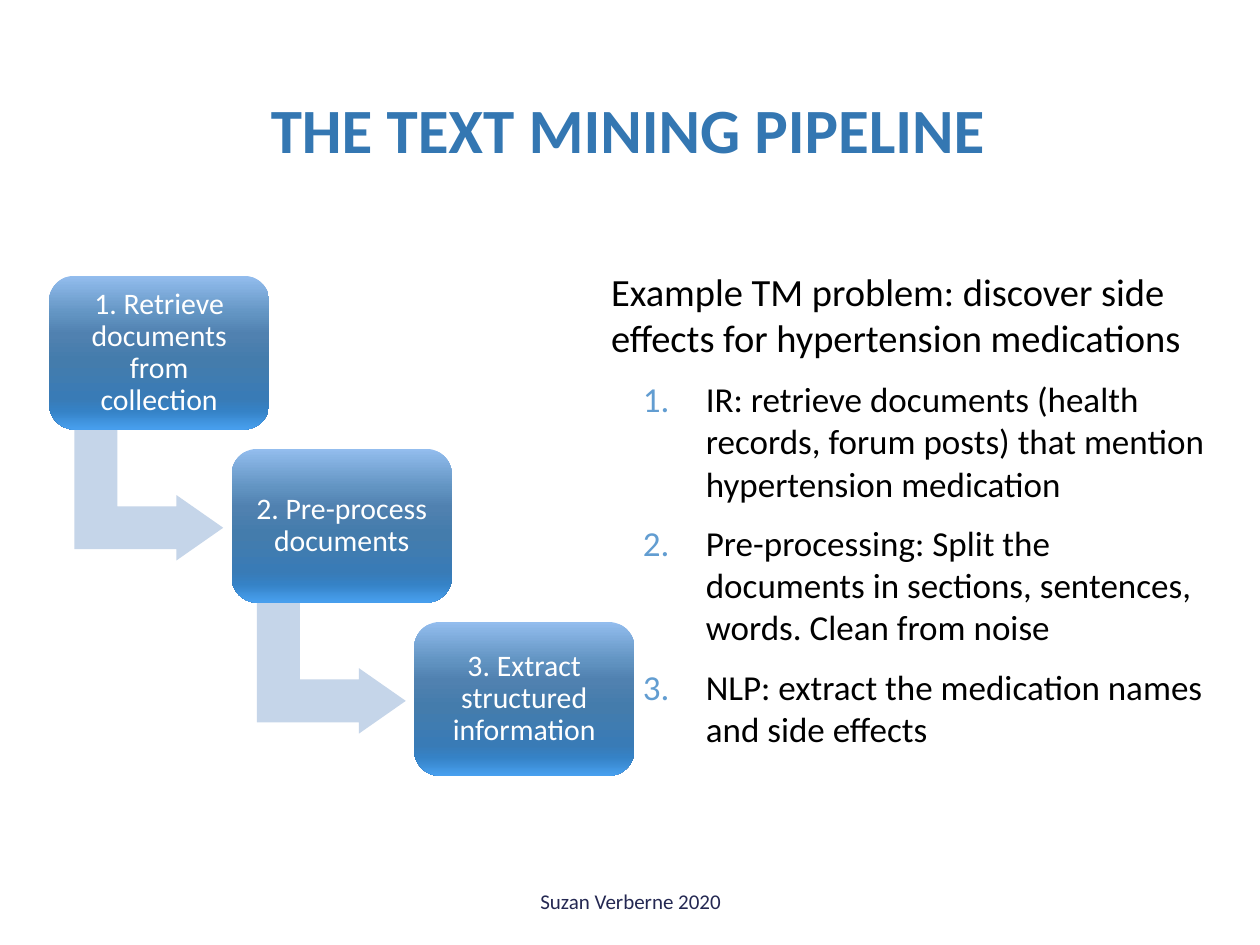
from lxml.etree import SubElement
from pptx import Presentation
from pptx.dml.color import RGBColor
from pptx.enum.shapes import MSO_SHAPE
from pptx.enum.text import MSO_ANCHOR, PP_ALIGN
from pptx.oxml.ns import qn
from pptx.util import Cm, Pt

FONT = "Calibri"
STEPS = [
    "1. Retrieve documents from collection",
    "2. Pre-process documents",
    "3. Extract structured information",
]
PROBLEM = "Example TM problem: discover side effects for hypertension medications"
EXAMPLES = [
    "IR: retrieve documents (health records, forum posts) that mention hypertension medication",
    "Pre-processing: Split the documents in sections, sentences, words. Clean from noise",
    "NLP: extract the medication names and side effects",
]
BOX_GRADIENT = [
    (0, "93BDEE"), (25, "6294C2"), (38, "5081B0"), (55, "447CAC"),
    (80, "397BB6"), (88, "3582C6"), (100, "48A0EF"),
]
BOX_LEFT, BOX_TOP = 0.99, 5.56
BOX_WIDTH, BOX_HEIGHT = 4.44, 3.1
STEP_X, STEP_Y = 3.68, 3.49
ARROW_WIDTH, ARROW_HEIGHT = 2.64, 3.0


def color(hex_string):
    return RGBColor.from_string(hex_string)


def format_runs(paragraph, size, hex_string, bold=False):
    for run in paragraph.runs:
        run.font.name = FONT
        run.font.size = Pt(size)
        run.font.bold = bold
        run.font.color.rgb = color(hex_string)


def add_text_box(slide, left, top, width, height):
    shape = slide.shapes.add_textbox(Cm(left), Cm(top), Cm(width), Cm(height))
    shape.text_frame.word_wrap = True
    return shape.text_frame


def add_centred_line(slide, text, frame, size, hex_string, bold=False):
    text_frame = add_text_box(slide, *frame)
    text_frame.vertical_anchor = MSO_ANCHOR.MIDDLE
    text_frame.text = text
    paragraph = text_frame.paragraphs[0]
    paragraph.alignment = PP_ALIGN.CENTER
    format_runs(paragraph, size, hex_string, bold)


def add_plain_shape(slide, kind, left, top, width, height):
    shape = slide.shapes.add_shape(kind, Cm(left), Cm(top), Cm(width), Cm(height))
    shape.shadow.inherit = False
    shape.line.fill.background()
    return shape


def fill_with_gradient(shape, stops):
    """Fill from top to bottom with any number of (percent, colour) stops."""
    shape.fill.gradient()
    shape.fill.gradient_angle = 270
    stop_list = shape.element.spPr.find(qn("a:gradFill")).find(qn("a:gsLst"))
    for stop in list(stop_list):
        stop_list.remove(stop)
    for percent, hex_string in stops:
        stop = SubElement(stop_list, qn("a:gs"), pos=str(percent * 1000))
        SubElement(stop, qn("a:srgbClr"), val=hex_string)


def add_step_box(slide, text, left, top):
    shape = add_plain_shape(slide, MSO_SHAPE.ROUNDED_RECTANGLE, left, top, BOX_WIDTH, BOX_HEIGHT)
    fill_with_gradient(shape, BOX_GRADIENT)
    text_frame = shape.text_frame
    text_frame.word_wrap = True
    text_frame.vertical_anchor = MSO_ANCHOR.MIDDLE
    text_frame.margin_left = text_frame.margin_right = Cm(0.33)
    text_frame.margin_top = text_frame.margin_bottom = Cm(0.33)
    text_frame.text = text
    paragraph = text_frame.paragraphs[0]
    paragraph.alignment = PP_ALIGN.CENTER
    paragraph.line_spacing = 0.9
    format_runs(paragraph, 17, "FFFFFF")


def add_step_arrow(slide, left, top):
    shape = add_plain_shape(slide, MSO_SHAPE.BENT_UP_ARROW, left, top, ARROW_WIDTH, ARROW_HEIGHT)
    shape.rotation = 90
    for index, value in enumerate((0.328, 0.25, 0.358)):
        shape.adjustments[index] = value
    shape.fill.solid()
    shape.fill.fore_color.rgb = color("C5D5E9")


def add_pipeline(slide):
    for index, text in enumerate(STEPS):
        left = BOX_LEFT + index * STEP_X
        top = BOX_TOP + index * STEP_Y
        if index < len(STEPS) - 1:
            add_step_arrow(slide, left + 0.69, top + 2.92)
        add_step_box(slide, text, left, top)


def number_paragraph(paragraph, hex_string):
    properties = paragraph._p.get_or_add_pPr()
    properties.set("marL", str(Cm(1.91)))
    properties.set("indent", str(Cm(-1.27)))
    bullet_color = SubElement(properties, qn("a:buClr"))
    SubElement(bullet_color, qn("a:srgbClr"), val=hex_string)
    SubElement(properties, qn("a:buFont"), typeface="+mj-lt")
    SubElement(properties, qn("a:buAutoNum"), type="arabicPeriod")


def add_example(slide):
    text_frame = add_text_box(slide, 12.07, 5.28, 12.5, 11.73)
    text_frame.text = PROBLEM
    format_runs(text_frame.paragraphs[0], 22, "000000")
    for text in EXAMPLES:
        paragraph = text_frame.add_paragraph()
        paragraph.text = text
        paragraph.level = 1
        number_paragraph(paragraph, "629DD1")
        paragraph.space_before = Pt(10)
        format_runs(paragraph, 20, "000000")


def main():
    presentation = Presentation()
    presentation.slide_width = Cm(25.4)
    presentation.slide_height = Cm(19.05)
    slide = presentation.slides.add_slide(presentation.slide_layouts[6])
    add_centred_line(slide, "THE TEXT MINING PIPELINE", (1.19, 1.14, 22.94, 2.9), 36, "3477B2", bold=True)
    add_example(slide)
    add_centred_line(slide, "Suzan Verberne 2020", (8.69, 17.65, 8.05, 1.02), 12, "242852")
    add_pipeline(slide)
    presentation.save("out.pptx")


if __name__ == "__main__":
    main()
